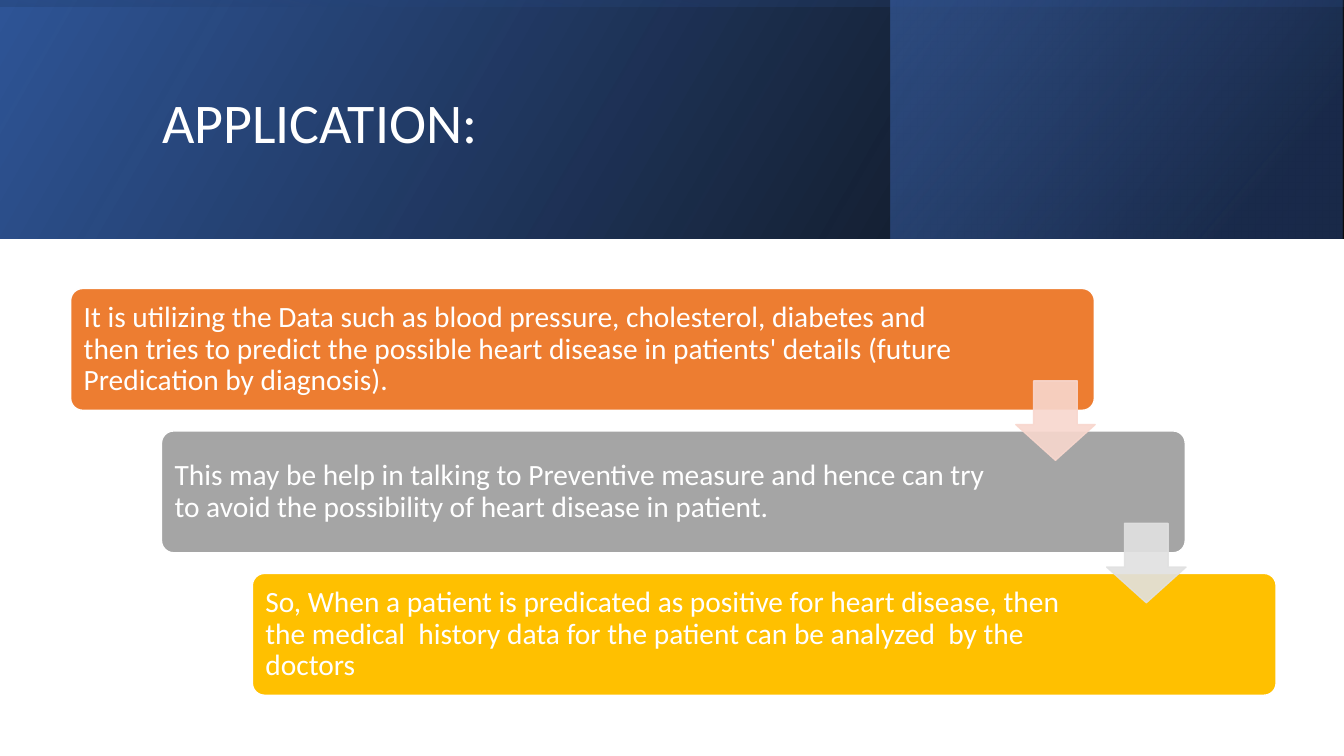
from lxml.etree import SubElement
from pptx import Presentation
from pptx.dml.color import RGBColor
from pptx.enum.shapes import MSO_SHAPE
from pptx.enum.text import MSO_ANCHOR, PP_ALIGN
from pptx.oxml.ns import qn
from pptx.util import Cm, Pt

WHITE = RGBColor(0xFF, 0xFF, 0xFF)
BLACK = RGBColor(0x00, 0x00, 0x00)
NAVY = RGBColor(0x20, 0x38, 0x64)
DEEP_BLUE = RGBColor(0x2F, 0x55, 0x97)
BLUE = RGBColor(0x44, 0x72, 0xC4)
ORANGE = RGBColor(0xED, 0x7D, 0x31)
GRAY = RGBColor(0xA5, 0xA5, 0xA5)
GOLD = RGBColor(0xFF, 0xC0, 0x00)
PALE_ORANGE = RGBColor(0xF8, 0xD7, 0xCE)
PALE_GRAY = RGBColor(0xE1, 0xE1, 0xE1)

SLIDE_WIDTH = 33.87
BANNER_HEIGHT = 6.02
STEP_RIGHT = 2.29
STEP_DOWN = 3.59

STEPS = [
    (ORANGE, 22.48, "It is utilizing the Data such as blood pressure, cholesterol, diabetes and "
     "then tries to predict the possible heart disease in patients' details "
     "(future Predication by diagnosis)."),
    (GRAY, 21.34, "This may be help in talking to Preventive measure and hence can try "
     "to avoid the possibility of heart disease in patient."),
    (GOLD, 21.34, "So, When a patient is predicated as positive for heart disease, then "
     "the medical  history data for the patient can be analyzed  by the doctors"),
]


def set_opacity(shape, percents):
    for color, percent in zip(shape._element.xpath(".//a:srgbClr"), percents):
        SubElement(color, qn("a:alpha")).set("val", str(percent * 1000))


def add_gradient_panel(slide, left, top, width, height, stops, angle, rotation=0):
    shape = slide.shapes.add_shape(MSO_SHAPE.RECTANGLE, Cm(left), Cm(top), Cm(width), Cm(height))
    shape.shadow.inherit = False
    shape.line.fill.background()
    shape.rotation = rotation
    shape._element.spPr.find(qn("a:xfrm")).set("flipH", "1")
    shape.fill.gradient()
    shape.fill.gradient_angle = angle
    for gradient_stop, (position, color, _) in zip(shape.fill.gradient_stops, stops):
        gradient_stop.position = position
        gradient_stop.color.rgb = color
    set_opacity(shape, [opacity for _, _, opacity in stops])


def add_solid_shape(slide, kind, left, top, width, height, color, line_color, adjustments):
    shape = slide.shapes.add_shape(kind, Cm(left), Cm(top), Cm(width), Cm(height))
    shape.shadow.inherit = False
    shape.fill.solid()
    shape.fill.fore_color.rgb = color
    shape.line.color.rgb = line_color
    shape.line.width = Pt(1)
    for index, value in enumerate(adjustments):
        shape.adjustments[index] = value
    return shape


def add_text(slide, text, left, top, width, height, size=21, inset=0.23, color=WHITE,
             font="Calibri"):
    frame = slide.shapes.add_textbox(Cm(left), Cm(top), Cm(width), Cm(height)).text_frame
    frame.word_wrap = True
    frame.vertical_anchor = MSO_ANCHOR.MIDDLE
    frame.margin_left = frame.margin_right = Cm(inset)
    frame.margin_top = frame.margin_bottom = Cm(inset)
    paragraph = frame.paragraphs[0]
    paragraph.text = text
    paragraph.alignment = PP_ALIGN.LEFT
    paragraph.line_spacing = 0.9
    paragraph.font.name = font
    paragraph.font.size = Pt(size)
    paragraph.font.color.rgb = color


def add_banner(slide):
    add_gradient_panel(slide, 0, 0, SLIDE_WIDTH, BANNER_HEIGHT,
                       [(0, BLACK, 96), (1, DEEP_BLUE, 100)], 30)
    add_gradient_panel(slide, 22.45, 0, 11.39, BANNER_HEIGHT,
                       [(0.19, NAVY, 68), (1, BLUE, 48)], 40)
    offset = (SLIDE_WIDTH - BANNER_HEIGHT) / 2
    add_gradient_panel(slide, offset, -offset, BANNER_HEIGHT, SLIDE_WIDTH,
                       [(0.23, DEEP_BLUE, 16), (0.99, BLACK, 45)], 10, rotation=270)
    add_text(slide, "APPLICATION:", 3.84, 0.97, 27, 4.37, size=40, inset=0.25)


def add_step(slide, index, color, text_width, text):
    left = 1.78 + index * STEP_RIGHT
    top = 7.27 + index * STEP_DOWN
    add_solid_shape(slide, MSO_SHAPE.ROUNDED_RECTANGLE, left, top, 25.8, 3.07,
                    color, WHITE, [0.1])
    add_text(slide, text, left + 0.1, top + 0.09, text_width, 2.9)


def add_step_arrow(slide, index, color):
    arrow = add_solid_shape(slide, MSO_SHAPE.DOWN_ARROW, 25.6 + index * STEP_RIGHT,
                            9.6 + index * STEP_DOWN, 2, 2, color, color, [0.55, 0.45])
    set_opacity(arrow, [90, 90])


def main():
    presentation = Presentation()
    presentation.slide_width = Cm(SLIDE_WIDTH)
    presentation.slide_height = Cm(19.05)
    slide = presentation.slides.add_slide(presentation.slide_layouts[6])
    add_banner(slide)
    for index, step in enumerate(STEPS):
        add_step(slide, index, *step)
    for index, color in enumerate([PALE_ORANGE, PALE_GRAY]):
        add_step_arrow(slide, index, color)
    presentation.save("out.pptx")


if __name__ == "__main__":
    main()
